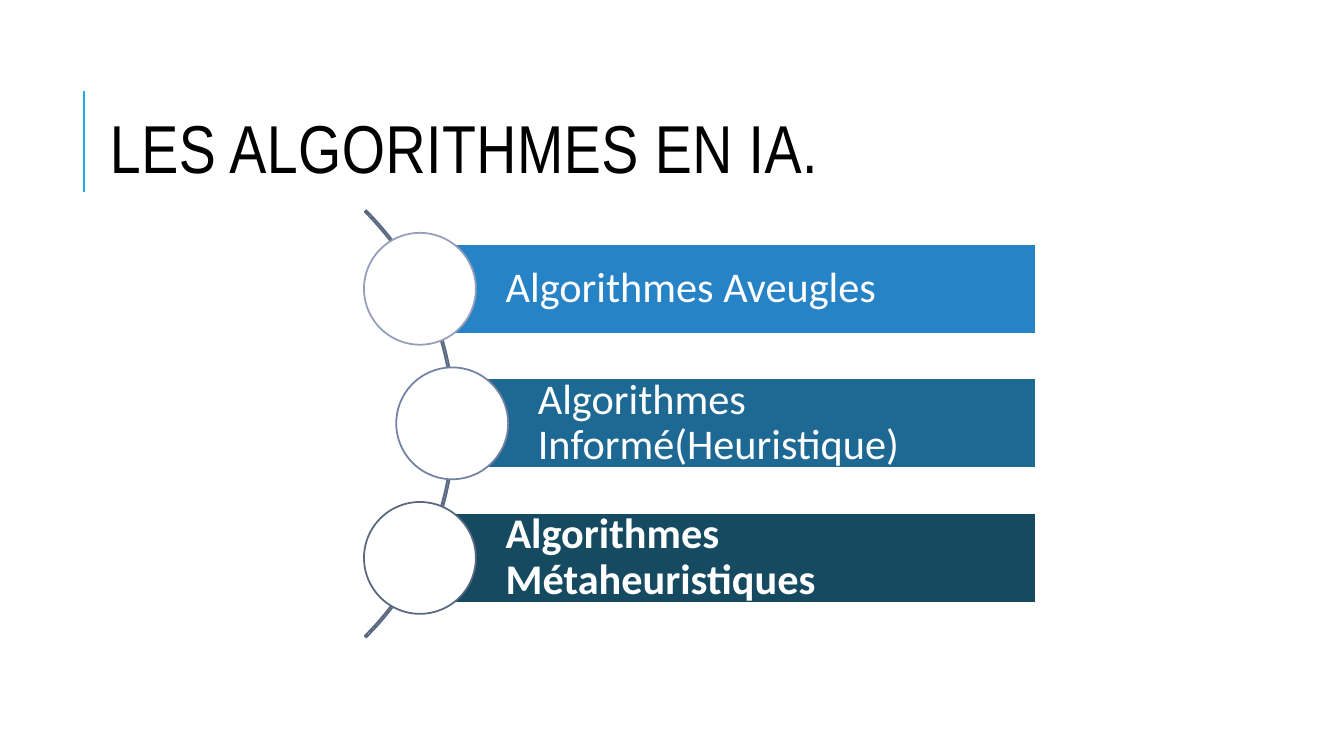
from pptx import Presentation
from pptx.dml.color import RGBColor
from pptx.enum.shapes import MSO_CONNECTOR, MSO_SHAPE
from pptx.enum.text import MSO_ANCHOR, MSO_AUTO_SIZE, PP_ALIGN
from pptx.oxml.ns import qn
from pptx.util import Inches, Pt
from lxml import etree

STRAIGHT = MSO_CONNECTOR.STRAIGHT
BLOCK_ARC, RECTANGLE, OVAL = MSO_SHAPE.BLOCK_ARC, MSO_SHAPE.RECTANGLE, MSO_SHAPE.OVAL
TOP, MIDDLE = MSO_ANCHOR.TOP, MSO_ANCHOR.MIDDLE
LEFT = PP_ALIGN.LEFT
NO_AUTOFIT = MSO_AUTO_SIZE.NONE

TITLE = "LES ALGORITHMES EN IA."
FAMILIES = [
    {"text": "Algorithmes Aveugles", "bold": False, "circle_left": 3.61,
     "fill": "2683C6", "outline": "959EBB"},
    {"text": "Algorithmes Informé(Heuristique)", "bold": False, "circle_left": 3.93,
     "fill": "1E6993", "outline": "7381A2"},
    {"text": "Algorithmes Métaheuristiques", "bold": True, "circle_left": 3.61,
     "fill": "154A61", "outline": "596781"},
]
CIRCLE_SIZE = 1.11
CIRCLE_TOP = 2.31
ROW_PITCH = 1.335
BAR_HEIGHT = 0.89
BAR_RIGHT = 10.27
ARC_BOX = (-1.48, 1.21, 5.99, 5.99)
ARC_ADJUSTMENTS = (189, 27, 0.0036)


def color(value):
    return RGBColor.from_string(value)


def add_shape(slide, kind, box, fill, outline):
    shape = slide.shapes.add_shape(kind, *map(Inches, box))
    shape.shadow.inherit = False
    if fill:
        shape.fill.solid()
        shape.fill.fore_color.rgb = color(fill)
    else:
        shape.fill.background()
    shape.line.color.rgb = color(outline)
    shape.line.width = Pt(1.25)
    return shape


def set_text(shape, text, font_name, size, font_color, bold, spacing, anchor, margins):
    frame = shape.text_frame
    frame.word_wrap = True
    frame.auto_size = NO_AUTOFIT
    frame.vertical_anchor = anchor
    (frame.margin_left, frame.margin_top,
     frame.margin_right, frame.margin_bottom) = map(Inches, margins)
    paragraph = frame.paragraphs[0]
    paragraph.alignment = LEFT
    paragraph.line_spacing = spacing
    run = paragraph.add_run()
    run.text = text
    run.font.name = font_name
    run.font.size = Pt(size)
    run.font.bold = bold
    run.font.color.rgb = color(font_color)
    return paragraph, run


def add_title(slide):
    rule = slide.shapes.add_connector(
        STRAIGHT, Inches(0.83), Inches(1.9), Inches(0.83), Inches(0.9))
    rule.line.color.rgb = color("1CADE4")
    rule.line.width = Pt(1.5)
    etree.SubElement(rule._element.spPr, qn("a:effectLst"))

    title = slide.shapes.title
    title.left, title.top, title.width, title.height = map(
        Inches, (0.82, 1.11, 10.63, 1.64))
    paragraph, run = set_text(title, TITLE, "Arial Narrow", 48.4, "000000", False,
                              0.8, TOP, (0.27, 0.1, 0.12, 0.06))
    run._r.get_or_add_rPr().set("spc", "40")


def add_families(slide):
    arc = add_shape(slide, BLOCK_ARC, ARC_BOX, None, "596781")
    for index, value in enumerate(ARC_ADJUSTMENTS):
        arc.adjustments[index] = value

    for row, family in enumerate(FAMILIES):
        circle_top = CIRCLE_TOP + row * ROW_PITCH
        bar_left = family["circle_left"] + CIRCLE_SIZE / 2
        bar_top = circle_top + (CIRCLE_SIZE - BAR_HEIGHT) / 2
        bar = add_shape(slide, RECTANGLE,
                        (bar_left, bar_top, BAR_RIGHT - bar_left, BAR_HEIGHT),
                        family["fill"], "FFFFFF")
        paragraph, run = set_text(bar, family["text"], "Calibri", 30.2, "FFFFFF",
                                  family["bold"], 0.9, MIDDLE,
                                  (0.85, 0.08, 0.08, 0.08))
        paragraph.space_after = Pt(10.6)
        add_shape(slide, OVAL,
                  (family["circle_left"], circle_top, CIRCLE_SIZE, CIRCLE_SIZE),
                  "FFFFFF", family["outline"])


def main():
    presentation = Presentation()
    presentation.slide_width = Inches(13.33)
    presentation.slide_height = Inches(7.5)
    slide = presentation.slides.add_slide(presentation.slide_layouts[5])
    add_title(slide)
    add_families(slide)
    presentation.save("out.pptx")


if __name__ == "__main__":
    main()
